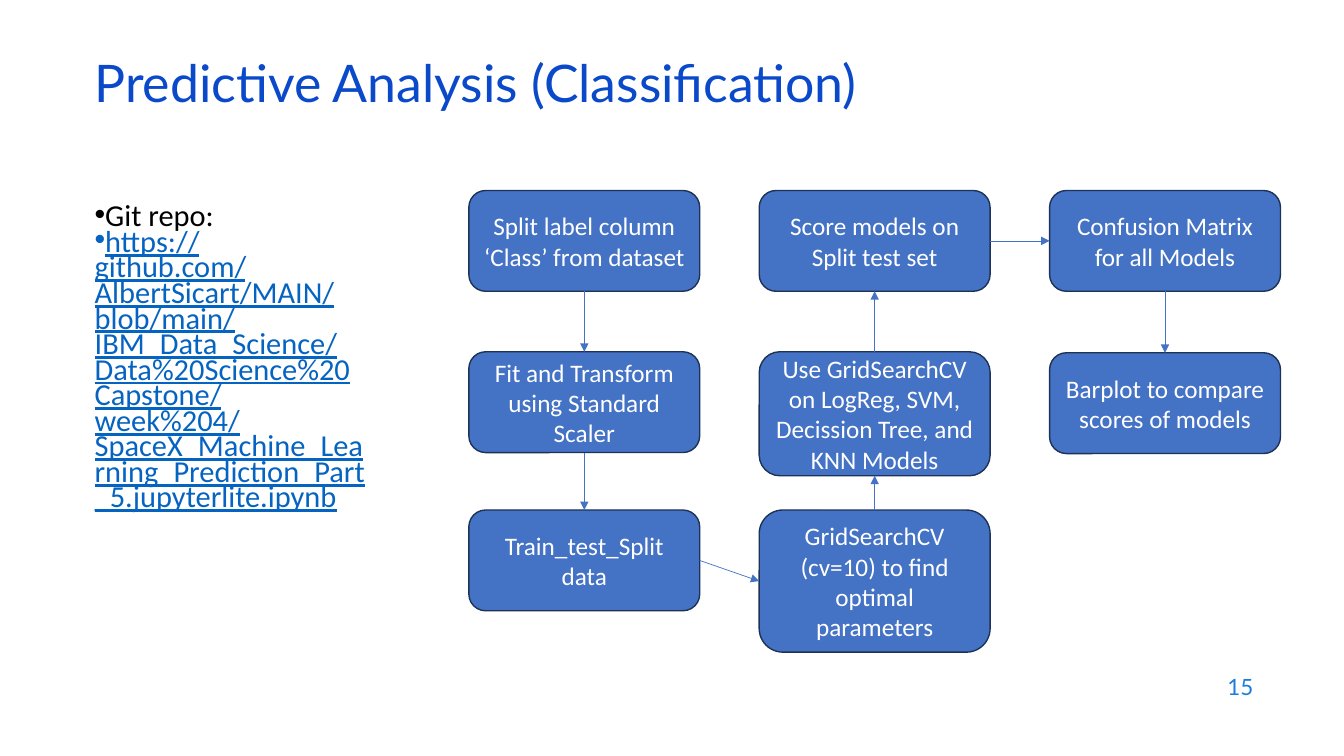
import pptx
import pptx.util
import pptx.dml.color
import pptx.enum.shapes
import pptx.enum.text
import pptx.oxml

Inches = pptx.util.Inches
Pt = pptx.util.Pt
RGB = pptx.dml.color.RGBColor
ALIGN = pptx.enum.text.PP_ALIGN
ANCHOR = pptx.enum.text.MSO_ANCHOR
SHAPE = pptx.enum.shapes.MSO_SHAPE

BLUE = RGB(0x44, 0x72, 0xC4)
EDGE = RGB(0x1E, 0x32, 0x56)
WHITE = RGB(0xFF, 0xFF, 0xFF)
BLACK = RGB(0, 0, 0)
LINK = RGB(0x05, 0x63, 0xC1)
TITLE = RGB(0x0B, 0x49, 0xCB)
PAGE = RGB(0x1C, 0x7D, 0xDB)

HEAD = "Predictive Analysis (Classification)"
NUMBER = "15"
NOTES = [
    ("Git repo:", BLACK, False),
    ("https://github.com/AlbertSicart/MAIN/blob/main/IBM_Data_Science/"
     "Data%20Science%20Capstone/week%204/"
     "SpaceX_Machine_Learning_Prediction_Part_5.jupyterlite.ipynb", LINK, True),
]
# column, top, height, label
STEPS = {
    "split": (0, 1.89, 1, "Split label column ‘Class’ from dataset"),
    "scale": (0, 3.49, 1, "Fit and Transform using Standard Scaler"),
    "train": (0, 5.06, 1, "Train_test_Split data"),
    "grid": (1, 5.06, 1.41, "GridSearchCV (cv=10) to find optimal parameters"),
    "models": (1, 3.49, 1.23,
               "Use GridSearchCV on LogReg, SVM, Decission Tree, and KNN Models"),
    "score": (1, 1.89, 1, "Score models on Split test set"),
    "matrix": (2, 1.89, 1, "Confusion Matrix for all Models"),
    "plot": (2, 3.5, 1, "Barplot to compare scores of models"),
}
TOP, LEFT, BOTTOM, RIGHT = range(4)
FLOW = [
    ("split", BOTTOM, "scale", TOP),
    ("scale", BOTTOM, "train", TOP),
    ("train", RIGHT, "grid", LEFT),
    ("grid", TOP, "models", BOTTOM),
    ("models", TOP, "score", BOTTOM),
    ("score", RIGHT, "matrix", LEFT),
    ("matrix", BOTTOM, "plot", TOP),
]
START, PITCH, WIDTH = 4.65, 2.88, 2.29


def add_run(para, text, size, font, color, under=None):
    run = para.add_run()
    run.text = text
    run.font.size = Pt(size)
    run.font.name = font
    run.font.color.rgb = color
    run.font.underline = under


def add_box(slide, left, top, width, height, anchor):
    box = slide.shapes.add_textbox(*map(Inches, (left, top, width, height)))
    frame = box.text_frame
    frame.word_wrap = True
    frame.vertical_anchor = anchor
    return frame


def add_mark(parent, tag, **attrs):
    node = pptx.oxml.parse_xml(
        f'<a:{tag} xmlns:a="http://schemas.openxmlformats.org/drawingml/2006/main"/>')
    for key, value in attrs.items():
        node.set(key, value)
    parent.append(node)


def add_step(slide, col, top, height, label):
    box = slide.shapes.add_shape(
        SHAPE.ROUNDED_RECTANGLE,
        *map(Inches, (START + col * PITCH, top, WIDTH, height)))
    box.shadow.inherit = False
    box.fill.solid()
    box.fill.fore_color.rgb = BLUE
    box.line.color.rgb = EDGE
    box.line.width = Pt(1)
    frame = box.text_frame
    frame.word_wrap = True
    frame.vertical_anchor = ANCHOR.MIDDLE
    para = frame.paragraphs[0]
    para.alignment = ALIGN.CENTER
    add_run(para, label, 18, "Calibri", WHITE)
    return box


def add_arrow(slide, first, out, last, into):
    arrow = slide.shapes.add_connector(
        pptx.enum.shapes.MSO_CONNECTOR.STRAIGHT, 0, 0, 0, 0)
    arrow.begin_connect(first, out)
    arrow.end_connect(last, into)
    arrow.line.color.rgb = BLUE
    arrow.line.width = Pt(0.5)
    add_mark(arrow.line._get_or_add_ln(), "tailEnd", type="triangle")
    add_mark(arrow._element.spPr, "effectLst")


def main():
    deck = pptx.Presentation()
    deck.slide_width = Inches(13.33)
    deck.slide_height = Inches(7.5)
    slide = deck.slides.add_slide(deck.slide_layouts[6])

    para = add_box(slide, 0.84, 0.59, 11.5, 0.6, ANCHOR.MIDDLE).paragraphs[0]
    para.line_spacing = 0.7
    add_run(para, HEAD, 37, "Lato", TITLE)

    frame = add_box(slide, 0.84, 2, 2.88, 3.33, ANCHOR.TOP)
    for i, (text, color, under) in enumerate(NOTES):
        para = frame.add_paragraph() if i else frame.paragraphs[0]
        props = para._p.get_or_add_pPr()
        props.set("marL", "0")
        props.set("indent", "0")
        add_mark(props, "buFont", typeface="Arial")
        add_mark(props, "buChar", char="•")
        para.line_spacing = 0.7
        add_run(para, text, 21.7, "Calibri", color, under)

    boxes = {key: add_step(slide, *step) for key, step in STEPS.items()}
    for first, out, last, into in FLOW:
        add_arrow(slide, boxes[first], out, boxes[last], into)

    para = add_box(slide, 9.53, 6.59, 3, 0.44, ANCHOR.MIDDLE).paragraphs[0]
    para.alignment = ALIGN.RIGHT
    add_run(para, NUMBER, 16, "Lato", PAGE)

    deck.save("out.pptx")


if __name__ == "__main__":
    main()
